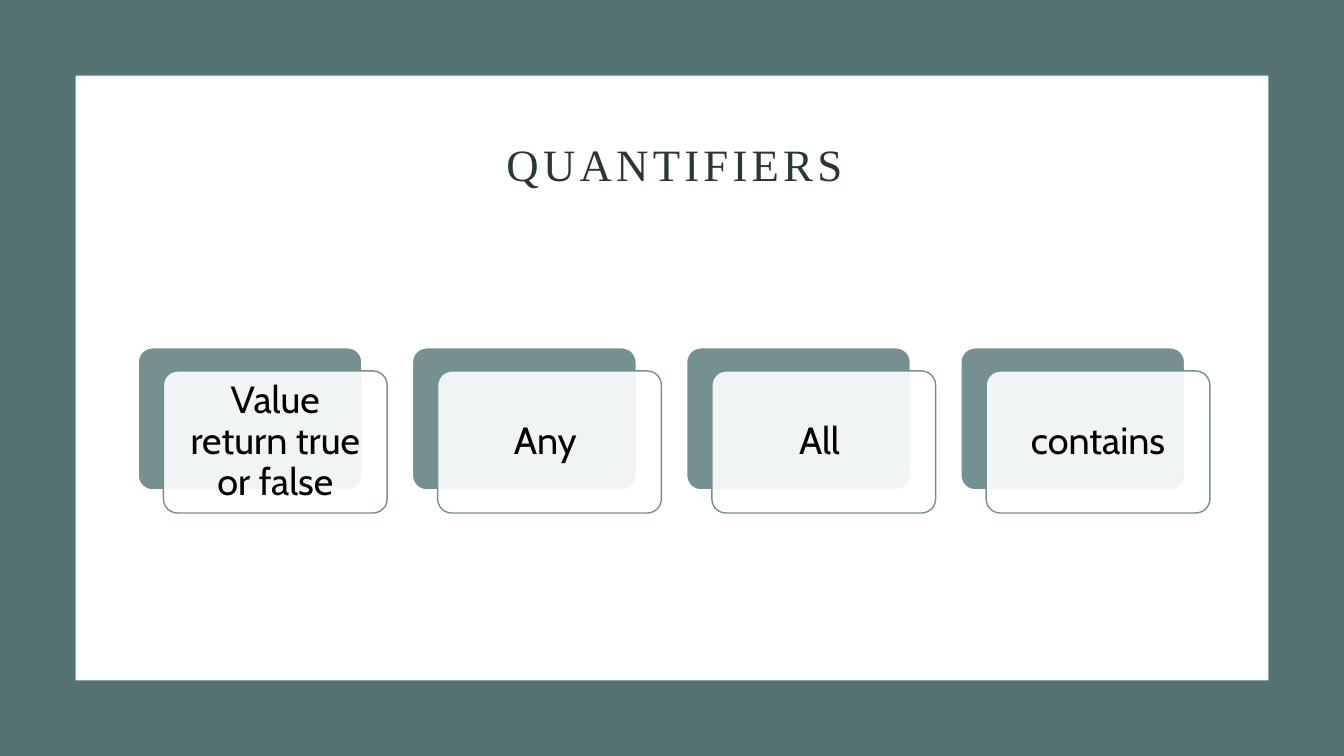
from dataclasses import dataclass

from pptx import Presentation
from pptx import util as u
from pptx.dml.color import RGBColor
from pptx.enum import shapes, text
from pptx.oxml import xmlchemy
from lxml import etree

EMU_PER_PX = 9144
DRAWING_NS = "{http://schemas.openxmlformats.org/drawingml/2006/main}"


@dataclass(frozen=True)
class Theme:
    frame: str = "557272"
    paper: str = "FFFFFF"
    heading: str = "293737"
    accent: str = "749090"
    ink: str = "000000"
    heading_font: str = "Times New Roman"
    body_font: str = "Cabin"
    heading_size: int = 32
    body_size: int = 27
    tracking: int = 300
    card_opacity: int = 90000


@dataclass(frozen=True)
class Box:
    left: int
    top: int
    width: int
    height: int

    def moved(self, dx: int, dy: int = 0) -> "Box":
        return Box(self.left + dx, self.top + dy, self.width, self.height)

    def emu(self) -> tuple[int, ...]:
        return tuple(px(n) for n in (self.left, self.top, self.width, self.height))


THEME = Theme()
SLIDE = Box(0, 0, 1333, 750)
PANEL = Box(75, 75, 1183, 600)
HEADING = Box(150, 117, 1038, 98)
FIRST_BACKING = Box(137, 345, 222, 141)
CARD_PITCH = 272
CARD_SHIFT = (25, 23)
CARD_INSET = 11
QUANTIFIERS = ("Value return true or false", "Any ", "All ", "contains")


def px(length: int) -> int:
    return u.Emu(length * EMU_PER_PX)


def add_block(slide, box: Box, fill: str, line: str | None = None):
    rounded = line is not None
    kind = shapes.MSO_SHAPE.ROUNDED_RECTANGLE if rounded else shapes.MSO_SHAPE.RECTANGLE
    block = slide.shapes.add_shape(kind, *box.emu())
    block.shadow.inherit = False
    block.fill.solid()
    block.fill.fore_color.rgb = RGBColor.from_string(fill)
    if rounded:
        block.adjustments[0] = 0.1
        block.line.color.rgb = RGBColor.from_string(line)
        block.line.width = u.Pt(1)
    else:
        block.line.fill.background()
    return block


def set_opacity(block, opacity: int) -> None:
    color = block.fill._xPr.find(f"{DRAWING_NS}solidFill")[0]
    etree.SubElement(color, f"{DRAWING_NS}alpha", val=str(opacity))


def write(frame, words: str, font: str, size: int, color: str):
    frame.word_wrap = True
    frame.vertical_anchor = text.MSO_ANCHOR.MIDDLE
    frame.text = words
    paragraph = frame.paragraphs[0]
    paragraph.alignment = text.PP_ALIGN.CENTER
    paragraph.line_spacing = 0.9
    run = paragraph.runs[0]
    run.font.name = font
    run.font.size = u.Pt(size)
    run.font.color.rgb = RGBColor.from_string(color)
    return run


def add_heading(slide, words: str) -> None:
    heading = slide.shapes.add_textbox(*HEADING.emu())
    run = write(heading.text_frame, words, THEME.heading_font,
                THEME.heading_size, THEME.heading)
    run.font._element.set("spc", str(THEME.tracking))


def add_quantifier(slide, backing: Box, words: str) -> None:
    add_block(slide, backing, THEME.accent, THEME.paper)
    card = add_block(slide, backing.moved(*CARD_SHIFT), THEME.paper, THEME.accent)
    set_opacity(card, THEME.card_opacity)
    frame = card.text_frame
    frame.margin_left = frame.margin_right = px(CARD_INSET)
    frame.margin_top = frame.margin_bottom = px(CARD_INSET)
    write(frame, words, THEME.body_font, THEME.body_size, THEME.ink)


def main() -> None:
    deck = Presentation()
    deck.slide_width, deck.slide_height = px(SLIDE.width), px(SLIDE.height)
    slide = deck.slides.add_slide(deck.slide_layouts[6])
    add_block(slide, SLIDE, THEME.frame)
    add_block(slide, PANEL, THEME.paper)
    add_heading(slide, "QUANTIFIERS")
    for column, words in enumerate(QUANTIFIERS):
        add_quantifier(slide, FIRST_BACKING.moved(column * CARD_PITCH), words)
    deck.save("out.pptx")


if __name__ == "__main__":
    main()
